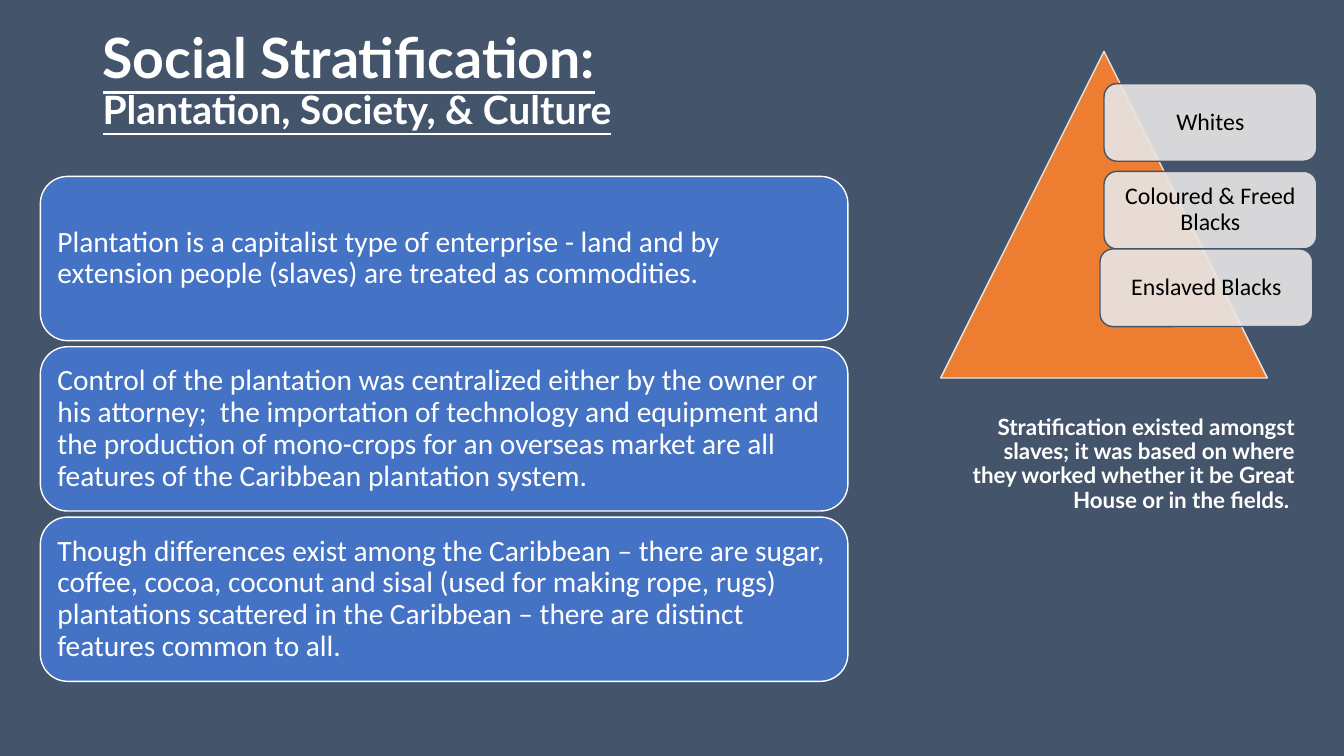
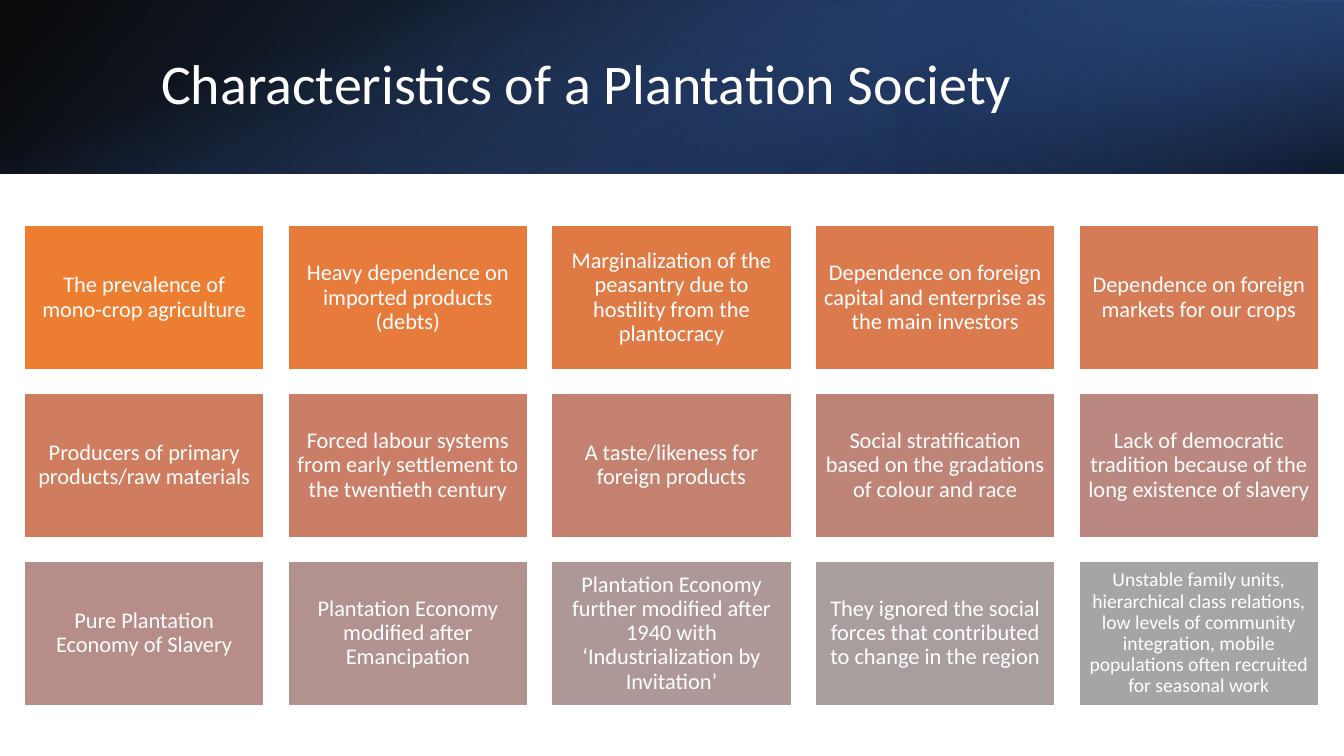
import colorsys
import pptx
import pptx.util
import pptx.dml.color
import pptx.enum.shapes
import pptx.enum.text
import pptx.oxml
import pptx.oxml.ns

Inches, Pt = pptx.util.Inches, pptx.util.Pt
Kind = pptx.enum.shapes.MSO_SHAPE
Align = pptx.enum.text.PP_ALIGN
Anchor = pptx.enum.text.MSO_ANCHOR
qn = pptx.oxml.ns.qn

HUES = {
    "white": "FFFFFF", "black": "000000", "slate": "44546A", "blue": "4472C4",
    "navy": "203864", "deep": "2F5597", "orange": "ED7D31", "pale": "E7E6E6",
    "grey": "A5A5A5",
}

HEADS = [("Social Stratification:", 39.6), ("Plantation, Society, & Culture", 27.9)]
POINTS = [
    "Plantation is a capitalist type of enterprise - land and by extension people (slaves) are treated as commodities.",
    "Control of the plantation was centralized either by the owner or his attorney;  the importation of technology and equipment and the production of mono-crops for an overseas market are all features of the Caribbean plantation system.",
    "Though differences exist among the Caribbean – there are sugar, coffee, cocoa, coconut and sisal (used for making rope, rugs) plantations scattered in the Caribbean – there are distinct features common to all.",
]
RANKS = [
    ("Whites", 10.95, 0.83),
    ("Coloured & Freed Blacks", 10.95, 1.7),
    ("Enslaved Blacks", 10.91, 2.47),
]
REMARK = "Stratification existed amongst slaves; it was based on where they worked whether it be Great House or in the fields. "

TOPIC = [("Characteristics of a Plantation Society", 40)]
TRAITS = [
    "The prevalence of mono-crop agriculture",
    "Heavy dependence on imported products (debts)",
    "Marginalization of the peasantry due to hostility from the plantocracy",
    "Dependence on foreign capital and enterprise as the main investors",
    "Dependence on foreign markets for our crops",
    "Producers of primary products/raw materials",
    "Forced labour systems from early settlement to the twentieth century",
    "A taste/likeness for foreign products",
    "Social stratification based on the gradations of colour and race",
    "Lack of democratic tradition because of the long existence of slavery",
    "Pure Plantation Economy of Slavery",
    "Plantation Economy modified after Emancipation",
    "Plantation Economy further modified after 1940 with ‘Industrialization by Invitation’",
    "They ignored the social forces that contributed to change in the region",
    "Unstable family units, hierarchical class relations, low levels of community integration, mobile populations often recruited for seasonal work",
]
BANDS = [
    ((0, 0, 13.33, 1.72), 0, True, 140, [(0, "black", 96), (100, "deep", 100)]),
    ((8.89, 0, 4.44, 1.72), 180, True, 320, [(19, "navy", 68), (100, "blue", 79)]),
    ((5.8, -5.8, 1.72, 13.33), 90, False, 340, [(23, "blue", 0), (99, "black", 74)]),
]


def tint(code):
    return pptx.dml.color.RGBColor.from_string(code)


def write(shape, lines, hue, font="Calibri", align=Align.LEFT, inset=None,
          anchor=Anchor.MIDDLE, bold=False, under=False):
    frame = shape.text_frame
    frame.word_wrap = True
    frame.vertical_anchor = anchor
    if inset is not None:
        frame.margin_left = frame.margin_right = Inches(inset)
        frame.margin_top = frame.margin_bottom = Inches(inset)
    frame.text = "\n".join(text for text, size in lines)
    for para, (text, size) in zip(frame.paragraphs, lines):
        para.alignment = align
        para.line_spacing = 0.9
        for run in para.runs:
            face = run.font
            face.name, face.size = font, Pt(size)
            face.bold, face.underline = bold, under
            face.color.rgb = tint(HUES[hue])


def label(slide, box, lines, **style):
    shape = slide.shapes.add_textbox(*map(Inches, box))
    write(shape, lines, "white", **style)


def block(slide, kind, box, fill, line=None, alpha=None):
    shape = slide.shapes.add_shape(kind, *map(Inches, box))
    shape.shadow.inherit = False
    shape.fill.solid()
    shape.fill.fore_color.rgb = tint(fill)
    if alpha is not None:
        clr = shape._element.spPr.find(qn("a:solidFill"))[0]
        clr.append(pptx.oxml.parse_xml(
            f'<a:alpha {pptx.oxml.ns.nsdecls("a")} val="{alpha * 1000}"/>'))
    if line:
        shape.line.color.rgb = tint(HUES[line])
        shape.line.width = Pt(1)
    else:
        shape.line.fill.background()
    return shape


def band(slide, box, turn, flip, angle, stops):
    shape = block(slide, Kind.RECTANGLE, box, HUES["black"])
    shape.rotation = turn
    props = shape._element.spPr
    if flip:
        props.find(qn("a:xfrm")).set("flipH", "1")
    marks = "".join(
        f'<a:gs pos="{pos * 1000}"><a:srgbClr val="{HUES[hue]}">'
        f'<a:alpha val="{alpha * 1000}"/></a:srgbClr></a:gs>'
        for pos, hue, alpha in stops)
    grad = pptx.oxml.parse_xml(
        f'<a:gradFill {pptx.oxml.ns.nsdecls("a")} rotWithShape="1">'
        f'<a:gsLst>{marks}</a:gsLst>'
        f'<a:lin ang="{angle * 60000}" scaled="0"/></a:gradFill>')
    props.replace(props.find(qn("a:solidFill")), grad)


def blend(first, last, part):
    ends = []
    for code in (first, last):
        rgb = [int(code[i:i + 2], 16) / 255 for i in (0, 2, 4)]
        ends.append(colorsys.rgb_to_hls(*rgb))
    mix = [a + (b - a) * part for a, b in zip(*ends)]
    return "".join(f"{round(v * 255):02X}" for v in colorsys.hls_to_rgb(*mix))


def page(deck, hue):
    slide = deck.slides.add_slide(deck.slide_layouts[6])
    slide.background.fill.solid()
    slide.background.fill.fore_color.rgb = tint(HUES[hue])
    return slide


def strata(deck):
    slide = page(deck, "slate")
    label(slide, (0.92, 0.24, 11.5, 1.14), HEADS, font="Lato", bold=True, under=True)
    for row, text in enumerate(POINTS):
        card = block(slide, Kind.ROUNDED_RECTANGLE,
                     (0.4, 1.75 + row * 1.69, 8.01, 1.63), HUES["blue"], "white")
        write(card, [(text, 21)], "white", inset=0.09)
    label(slide, (9.45, 4.08, 3.49, 1.07), [(REMARK, 16)], font="Lato",
          align=Align.RIGHT, anchor=Anchor.TOP, bold=True)
    block(slide, Kind.ISOSCELES_TRIANGLE, (9.33, 0.51, 3.24, 3.24),
          HUES["orange"], "pale")
    for text, left, top in RANKS:
        pill = block(slide, Kind.ROUNDED_RECTANGLE, (left, top, 2.11, 0.77),
                     HUES["pale"], "slate", 90)
        write(pill, [(text, 17)], "black", align=Align.CENTER, inset=0.07)


def traits(deck):
    slide = page(deck, "white")
    for item in BANDS:
        band(slide, *item)
    label(slide, (1.5, 0.38, 10.98, 0.96), TOPIC)
    last = len(TRAITS) - 1
    for num, text in enumerate(TRAITS):
        row, col = divmod(num, 5)
        fill = blend(HUES["orange"], HUES["grey"], num / last)
        tile = block(slide, Kind.RECTANGLE,
                     (0.24 + col * 2.615, 2.24 + row * 1.665, 2.38, 1.43),
                     fill, "white")
        size, inset = (14, 0.06) if num == last else (16, 0.07)
        write(tile, [(text, size)], "white", align=Align.CENTER, inset=inset)


def main():
    deck = pptx.Presentation()
    deck.slide_width, deck.slide_height = Inches(13.33), Inches(7.5)
    strata(deck)
    traits(deck)
    deck.save("out.pptx")


if __name__ == "__main__":
    main()
